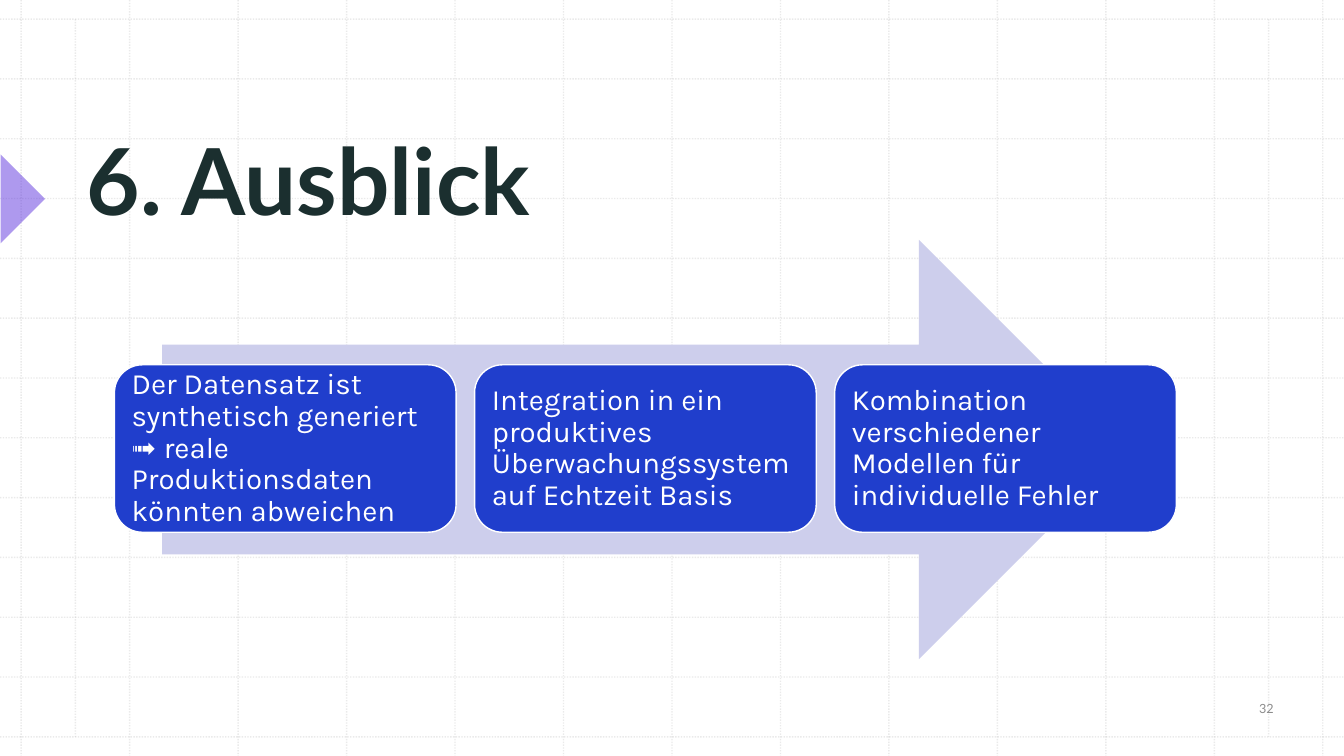
from dataclasses import dataclass

from lxml.etree import SubElement
from pptx import Presentation
from pptx.dml.color import RGBColor
from pptx.enum.dml import MSO_LINE
from pptx.enum.shapes import MSO_CONNECTOR, MSO_SHAPE
from pptx.enum.text import MSO_ANCHOR, MSO_AUTO_SIZE, PP_ALIGN
from pptx.oxml.ns import qn
from pptx.util import Inches, Pt


@dataclass(frozen=True)
class Theme:
    heading_font: str = "Lato"
    body_font: str = "Karla"
    title_size: int = 66
    body_size: int = 21
    number_size: int = 9
    title_color: str = "1B2F2F"
    number_color: str = "8C8C8C"
    grid_color: str = "BCBCBC"
    marker_color: str = "5E34DE"
    arrow_color: str = "CDCEEC"
    box_color: str = "203ECC"
    white: str = "FFFFFF"


SLIDE_WIDTH, SLIDE_HEIGHT = 13.33, 7.5
MARGIN_X, MARGIN_Y = 0.21, 0.19
GRID_CELLS = 12
COLUMN = (SLIDE_WIDTH - 2 * MARGIN_X) / GRID_CELLS
ROW = (SLIDE_HEIGHT - 2 * MARGIN_Y) / GRID_CELLS
BLEED_COLUMNS, BLEED_ROWS = MARGIN_X / COLUMN, MARGIN_Y / ROW

STEPS = [
    [("Der Datensatz ist synthetisch generiert ", "body"),
     ("➟ ", "heading"),
     ("reale Produktionsdaten könnten abweichen", "body")],
    [("Integration in ein produktives Überwachungssystem auf Echtzeit Basis", "body")],
    [("Kombination verschiedener Modellen für individuelle Fehler", "body")],
]
FIRST_STEP, STEP_PITCH, STEP_WIDTH = 0.86, 3.32, 3.15
STEP_TOP, STEP_HEIGHT = 5.78, 2.8


def set_opacity(shape, percent):
    """Apply opacity to the first solid colour of a shape or connector."""
    color = next(shape._element.spPr.iter(qn("a:srgbClr")))
    SubElement(color, qn("a:alpha")).set("val", str(percent * 1000))


class SlideBuilder:
    """Places styled elements; all lengths are grid columns and rows."""

    def __init__(self, slide, theme):
        self.slide = slide
        self.theme = theme

    def place(self, column, row, columns=0, rows=0):
        return (Inches(MARGIN_X + column * COLUMN), Inches(MARGIN_Y + row * ROW),
                Inches(columns * COLUMN), Inches(rows * ROW))

    def style(self, span, font, size, color, bold=False):
        span.font.name = font
        span.font.size = Pt(size)
        span.font.bold = bold
        span.font.color.rgb = RGBColor.from_string(color)

    def grid_line(self, start, end):
        line = self.slide.shapes.add_connector(
            MSO_CONNECTOR.STRAIGHT, *self.place(*start)[:2], *self.place(*end)[:2])
        line.line.width = Pt(1)
        line.line.color.rgb = RGBColor.from_string(self.theme.grid_color)
        line.line.dash_style = MSO_LINE.ROUND_DOT
        set_opacity(line, 30)
        SubElement(line._element.spPr, qn("a:effectLst"))

    def grid(self):
        far_column, far_row = GRID_CELLS + BLEED_COLUMNS, GRID_CELLS + BLEED_ROWS
        for index in range(GRID_CELLS + 1):
            self.grid_line((index, -BLEED_ROWS), (index, far_row))
            self.grid_line((-BLEED_COLUMNS, index), (far_column, index))
        for column in (0.5, GRID_CELLS - 0.5):
            self.grid_line((column, 0), (column, GRID_CELLS))

    def shape(self, kind, bounds, color):
        shape = self.slide.shapes.add_shape(kind, *self.place(*bounds))
        shape.shadow.inherit = False
        shape.fill.solid()
        shape.fill.fore_color.rgb = RGBColor.from_string(color)
        shape.line.fill.background()
        return shape

    def marker(self, bounds):
        marker = self.shape(MSO_SHAPE.RIGHT_TRIANGLE, bounds, self.theme.marker_color)
        marker.rotation = 225
        set_opacity(marker, 50)

    def arrow(self, bounds):
        self.shape(MSO_SHAPE.RIGHT_ARROW, bounds, self.theme.arrow_color)

    def title(self, text, bounds):
        title = self.slide.shapes.title
        title.left, title.top, title.width, title.height = self.place(*bounds)
        self.slide.shapes._spTree.append(title._element)  # in front of the grid
        frame = title.text_frame
        frame.text = text
        frame.auto_size = MSO_AUTO_SIZE.NONE
        frame.vertical_anchor = MSO_ANCHOR.BOTTOM
        para = frame.paragraphs[0]
        para.alignment = PP_ALIGN.LEFT
        self.style(para.runs[0], self.theme.heading_font, self.theme.title_size,
                   self.theme.title_color, bold=True)

    def page_number(self, text, bounds):
        frame = self.slide.shapes.add_textbox(*self.place(*bounds)).text_frame
        frame.word_wrap = True
        frame.text = text
        frame.vertical_anchor = MSO_ANCHOR.MIDDLE
        para = frame.paragraphs[0]
        para.alignment = PP_ALIGN.CENTER
        self.style(para.runs[0], self.theme.heading_font, self.theme.number_size,
                   self.theme.number_color)

    def step(self, spans, bounds):
        box = self.shape(MSO_SHAPE.ROUNDED_RECTANGLE, bounds, self.theme.box_color)
        box.line.color.rgb = RGBColor.from_string(self.theme.white)
        box.line.width = Pt(1)
        frame = box.text_frame
        frame.word_wrap = True
        frame.vertical_anchor = MSO_ANCHOR.MIDDLE
        frame.margin_left = frame.margin_right = Inches(0.09)
        frame.margin_top = frame.margin_bottom = Inches(0.09)
        para = frame.paragraphs[0]
        para.alignment = PP_ALIGN.LEFT
        para.line_spacing = 0.9
        fonts = {"body": self.theme.body_font, "heading": self.theme.heading_font}
        for text, role in spans:
            span = para.add_run()
            span.text = text
            self.style(span, fonts[role], self.theme.body_size, self.theme.white)


def main():
    deck = Presentation()
    deck.slide_width, deck.slide_height = Inches(SLIDE_WIDTH), Inches(SLIDE_HEIGHT)
    page = deck.slides.add_slide(deck.slide_layouts.get_by_name("Title Only"))
    builder = SlideBuilder(page, Theme())
    builder.grid()
    builder.marker((-0.48, 2.48, 0.58, 1.05))
    builder.title("6. Ausblick", (0.51, 1.01, 10.49, 2.66))
    builder.page_number("32", (10.98, 11.14, 1, 0.78))
    builder.arrow((1.3, 3.69, 8.91, 7.01))
    for index, spans in enumerate(STEPS):
        builder.step(spans, (FIRST_STEP + index * STEP_PITCH, STEP_TOP,
                             STEP_WIDTH, STEP_HEIGHT))
    deck.save("out.pptx")


if __name__ == "__main__":
    main()
